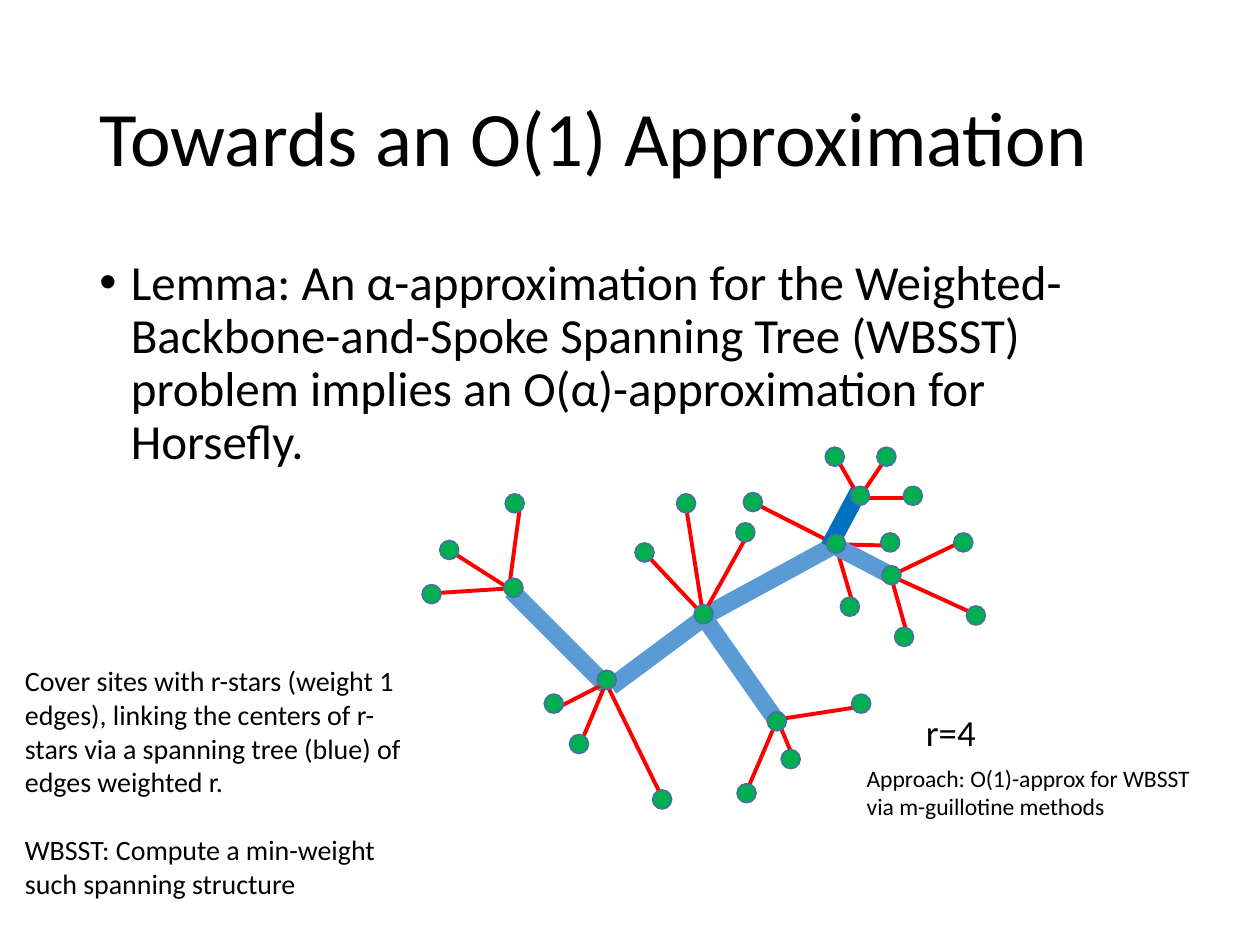
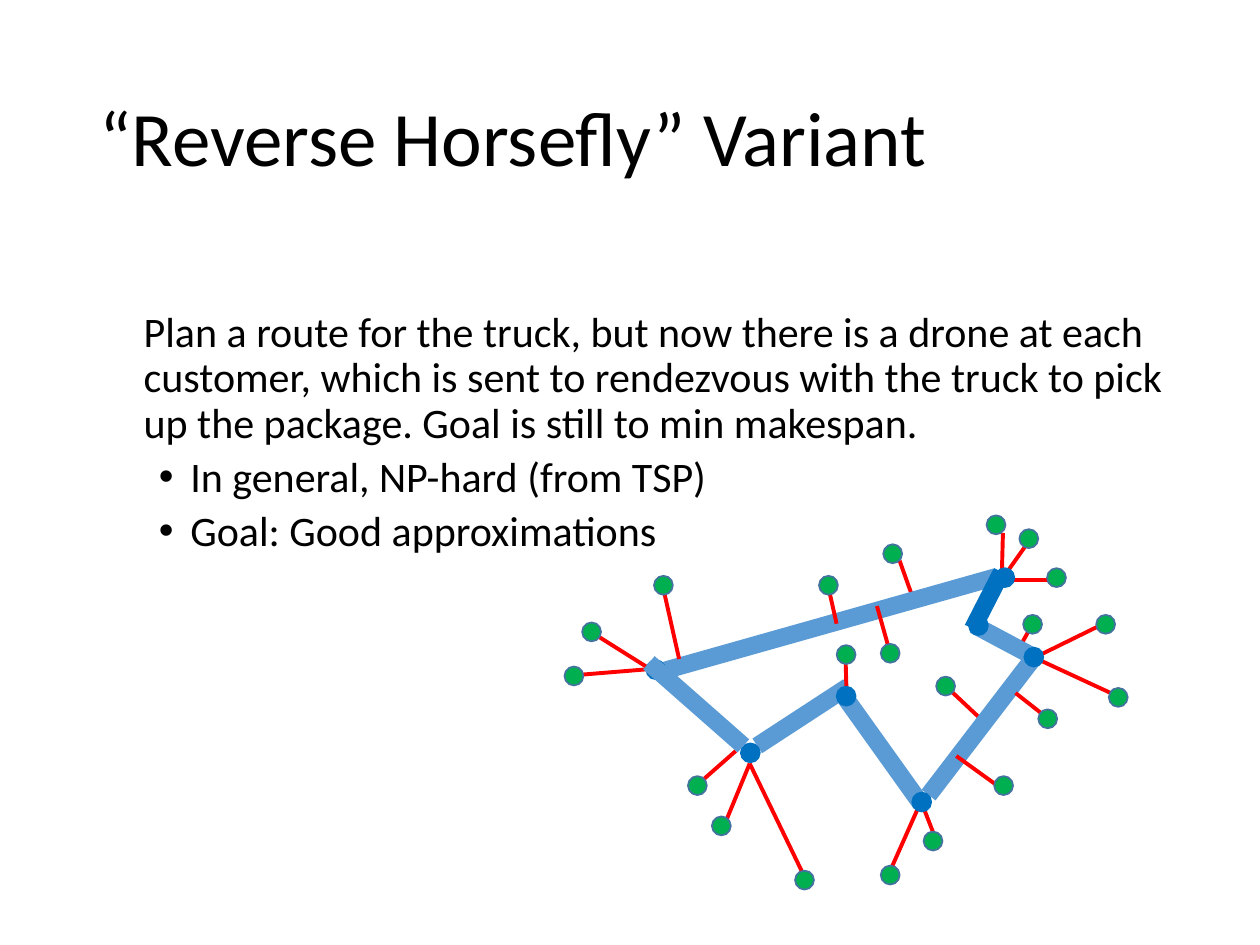
from dataclasses import dataclass

from lxml import etree
from pptx import Presentation
from pptx.dml.color import RGBColor
from pptx.enum.shapes import MSO_CONNECTOR, MSO_SHAPE
from pptx.enum.text import MSO_ANCHOR, PP_ALIGN
from pptx.oxml.ns import qn
from pptx.util import Inches, Pt

LINE, OVAL = MSO_CONNECTOR.STRAIGHT, MSO_SHAPE.OVAL
LEFT, MIDDLE = PP_ALIGN.LEFT, MSO_ANCHOR.MIDDLE
TITLE_ONLY = 5


@dataclass(frozen=True)
class Theme:
    font: str = "Calibri"
    ink: str = "000000"
    red: str = "FF0000"
    sky: str = "5B9BD5"
    blue: str = "0070C0"
    green: str = "00B050"
    rim: str = "43739E"
    head: float = 44
    lemma: float = 28
    body: float = 24
    label: float = 21
    note: float = 16
    small: float = 13.5
    spoke: float = 2.25
    road: float = 10
    dot: float = 0.15


T = Theme()


@dataclass(frozen=True)
class Graph:
    """Points are inches from the corner of the graph's box."""
    under: tuple  # spokes below the roads: hub, then tips
    stars: tuple  # spokes above the roads: hub, then tips
    roads: tuple  # light backbone edges
    link: tuple   # dark backbone edge
    sites: tuple  # corners of green dots
    stops: tuple = ()  # corners of blue dots
    over: tuple = ()   # roads above the dots


def style(para, size, space=None):
    para.alignment = LEFT
    if space:
        para.line_spacing = space
    for run in para.runs:
        run.font.name = T.font
        run.font.size = Pt(size)
        run.font.color.rgb = RGBColor.from_string(T.ink)


def indent(para, left, bullet=False):
    props = para._p.get_or_add_pPr()
    props.set("marL", str(Inches(left)))
    props.set("indent", str(Inches(-0.25 if bullet else 0)))
    if bullet:
        font = etree.SubElement(props, qn("a:buFont"))
        font.set("typeface", "Arial")
        etree.SubElement(props, qn("a:buChar")).set("char", "•")


def add_slide(deck, text):
    slide = deck.slides.add_slide(deck.slide_layouts[TITLE_ONLY])
    title = slide.shapes.title
    title.left, title.top = Inches(0.69), Inches(0.4)
    title.width, title.height = Inches(8.62), Inches(1.45)
    frame = title.text_frame
    frame.text = text
    frame.word_wrap = True
    frame.vertical_anchor = MIDDLE
    style(frame.paragraphs[0], T.head, 0.9)
    return slide


def add_text(slide, box, lines, size, space=None):
    frame = slide.shapes.add_textbox(*map(Inches, box)).text_frame
    frame.word_wrap = True
    frame.text = "\n".join(lines)
    for para in frame.paragraphs:
        style(para, size, space)
    return frame


def add_line(slide, box, start, end, color, width):
    x, y = box
    ends = (x + start[0], y + start[1], x + end[0], y + end[1])
    line = slide.shapes.add_connector(LINE, *map(Inches, ends))
    line.line.color.rgb = RGBColor.from_string(color)
    line.line.width = Pt(width)
    etree.SubElement(line._element.spPr, qn("a:effectLst"))


def add_dot(slide, box, spot, fill, rim):
    place = (box[0] + spot[0], box[1] + spot[1], T.dot, T.dot)
    dot = slide.shapes.add_shape(OVAL, *map(Inches, place))
    dot.shadow.inherit = False
    dot.fill.solid()
    dot.fill.fore_color.rgb = RGBColor.from_string(fill)
    dot.line.color.rgb = RGBColor.from_string(rim)
    dot.line.width = Pt(1)


def add_stars(slide, box, stars):
    for hub, *tips in stars:
        for tip in tips:
            add_line(slide, box, hub, tip, T.red, T.spoke)


def add_roads(slide, box, roads, color):
    for start, end in roads:
        add_line(slide, box, start, end, color, T.road)


def add_graph(slide, box, graph):
    add_stars(slide, box, graph.under)
    add_roads(slide, box, graph.roads, T.sky)
    add_roads(slide, box, [graph.link], T.blue)
    add_stars(slide, box, graph.stars)
    for spot in graph.sites:
        add_dot(slide, box, spot, T.green, T.rim)
    for spot in graph.stops:
        add_dot(slide, box, spot, T.blue, T.blue)
    add_roads(slide, box, graph.over, T.sky)


# Spanning tree: r-stars joined by a backbone
TREE = Graph(
    under=(((3.63, 1.32), (4.05, 1.33), (3.78, 1.83), (2.98, 0.99)),),
    stars=(
        ((2.58, 1.88), (2.93, 1.25), (2.44, 0.99), (2.12, 1.39)),
        ((1.81, 2.42), (1.42, 2.62), (1.6, 2.92), (2.26, 3.34)),
        ((4.07, 1.57), (4.65, 1.29), (4.75, 1.88), (4.21, 2.07)),
        ((1.04, 1.67), (1.13, 1), (0.6, 1.39), (0.42, 1.71)),
        ((3.82, 0.95), (3.62, 0.6), (4.03, 0.64), (4.25, 0.95)),
        ((3.17, 2.71), (3.82, 2.61), (3.32, 3.07), (2.9, 3.34)),
    ),
    roads=(
        ((1.06, 1.69), (1.81, 2.44)), ((1.85, 2.45), (2.59, 1.9)),
        ((2.58, 1.89), (3.17, 2.73)), ((2.59, 1.89), (3.6, 1.34)),
        ((3.6, 1.32), (4.06, 1.56)),
    ),
    link=((3.58, 1.34), (3.82, 0.89)),
    sites=(
        (1.01, 0.92), (1, 1.59), (0.49, 1.29), (0.35, 1.64), (2.51, 1.8),
        (2.84, 1.15), (2.37, 0.92), (3.96, 0.55), (2.04, 1.31), (3.75, 0.86),
        (3.55, 0.55), (4.17, 0.86), (4.57, 1.23), (3.56, 1.24), (4, 1.49),
        (1.74, 2.32), (4.67, 1.81), (4.1, 1.98), (3.67, 1.74), (3.99, 1.23),
        (2.9, 0.91), (3.09, 2.65), (3.76, 2.51), (3.2, 2.95), (1.52, 2.83),
        (2.18, 3.27), (2.85, 3.22), (1.32, 2.51),
    ),
)

# Truck tour: drones fly from the sites to meet it
TOUR = Graph(
    under=(
        ((4.09, 1.14), (4.18, 0.98)), ((3.82, 1.74), (3.49, 1.43)),
        ((3.24, 0.73), (3.14, 0.45)),
    ),
    stars=(
        ((2.96, 0.81), (3.07, 1.2)), ((1.84, 1.96), (1.59, 2.18)),
        ((1.95, 2.06), (1.74, 2.57), (2.4, 2.99)),
        ((2.64, 0.95), (2.57, 0.64)),
        ((4.21, 1.22), (4.78, 0.94), (4.88, 1.53)),
        ((4.06, 1.5), (4.34, 1.72)), ((1.39, 1.23), (1.26, 0.65)),
        ((1.16, 1.31), (0.73, 1.04), (0.55, 1.36)),
        ((2.72, 1.53), (2.71, 1.2)),
        ((3.95, 0.6), (3.96, 0.23), (4.17, 0.29), (4.39, 0.6)),
        ((3.59, 2), (3.95, 2.26)),
        ((3.31, 2.36), (3.45, 2.72), (3.03, 2.99)),
    ),
    roads=(
        ((1.21, 1.34), (3.9, 0.58)), ((2.01, 1.92), (2.73, 1.45)),
        ((2.71, 1.54), (3.31, 2.38)), ((3.37, 2.31), (4.22, 1.2)),
        ((3.73, 0.96), (4.2, 1.21)),
    ),
    link=((3.72, 0.99), (3.95, 0.54)),
    sites=(
        (1.19, 0.57), (0.62, 0.94), (0.48, 1.29), (2.99, 1.11), (2.5, 0.57),
        (4.09, 0.2), (2.64, 1.12), (3.83, 0.09), (4.31, 0.51), (4.7, 0.88),
        (4.8, 1.46), (4.24, 1.63), (3.43, 1.37), (4.12, 0.88), (3.01, 0.32),
        (3.89, 2.16), (3.33, 2.6), (1.65, 2.48), (2.31, 2.91), (2.99, 2.87),
        (1.46, 2.16),
    ),
    stops=(
        (1.13, 1.24), (2.64, 1.45), (3.9, 0.51), (3.69, 0.89), (4.13, 1.14),
        (1.88, 1.9), (3.24, 2.29),
    ),
    over=(((1.9, 1.92), (1.15, 1.26)),),
)


def tree_slide(deck):
    slide = add_slide(deck, "Towards an O(1) Approximation")
    # Lemma
    frame = add_text(slide, (0.69, 2, 8.62, 4.76), [
        "Lemma: An α-approximation for the Weighted-Backbone-and-Spoke "
        "Spanning Tree (WBSST) problem implies an O(α)-approximation for "
        "Horsefly."], T.lemma, 0.9)
    indent(frame.paragraphs[0], 0.25, True)
    add_graph(slide, (3, 3), TREE)
    # Notes around the tree
    frame = add_text(slide, (0.1, 5.22, 3.36, 1.99), [
        "Cover sites with r-stars (weight 1 edges), linking the centers of "
        "r-stars via a spanning tree (blue) of edges weighted r.",
        "WBSST: Compute a min-weight such spanning structure"], T.note)
    frame.paragraphs[1].space_before = Pt(T.note * 1.22)
    add_text(slide, (7.25, 5.58, 0.91, 0.45), ["r=4"], T.label)
    add_text(slide, (6.78, 6.01, 2.91, 0.56), [
        "Approach: O(1)-approx for WBSST via m-guillotine methods"], T.small)


def tour_slide(deck):
    slide = add_slide(deck, "“Reverse Horsefly” Variant")
    # Problem and goals
    frame = add_text(slide, (0.69, 2.43, 8.62, 3.57), [
        "Plan a route for the truck, but now there is a drone at each "
        "customer, which is sent to rendezvous with the truck to pick up "
        "the package. Goal is still to min makespan.",
        "In general, NP-hard (from TSP)",
        "Goal: Good approximations"], T.body, 0.9)
    frame.margin_left = frame.margin_right = Inches(0.07)
    frame.margin_top = frame.margin_bottom = Inches(0.04)
    for num, para in enumerate(frame.paragraphs):
        para.space_before = Pt(5)
        indent(para, 0.75 if num else 0.38, num > 0)
    add_graph(slide, (4, 4), TOUR)


deck = Presentation()
deck.slide_width, deck.slide_height = Inches(10), Inches(7.5)
tree_slide(deck)
tour_slide(deck)
deck.save("out.pptx")
